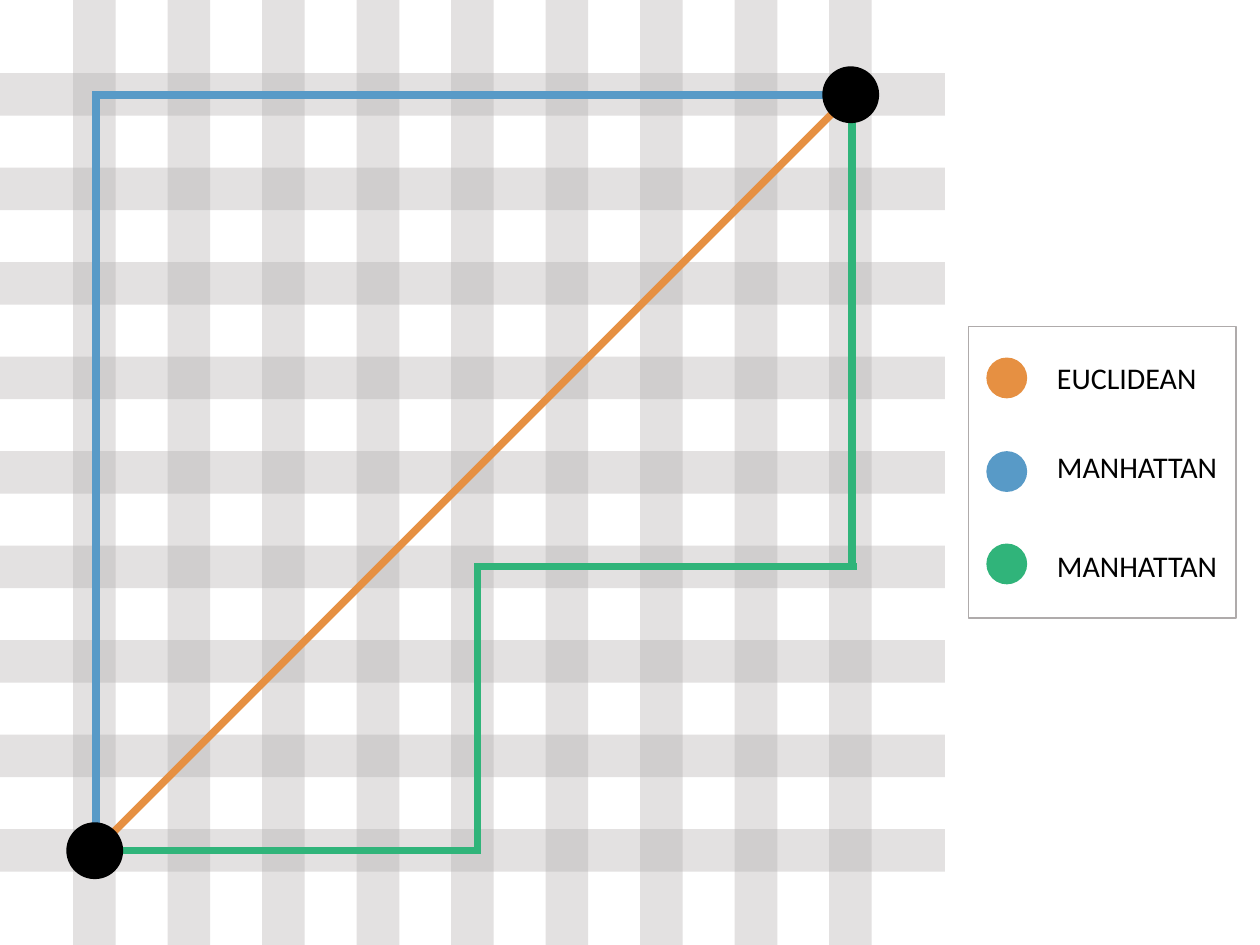
from pptx import Presentation
from pptx import util as u
from pptx.dml import color
from pptx.enum import shapes, text
from pptx.oxml import ns
from lxml import etree

HUES = {
    "street": "AFABAB",
    "blue": "589AC7",
    "orange": "E69042",
    "green": "30B47A",
    "black": "000000",
    "white": "FFFFFF",
}
WIDE = 10.5
SIDE = WIDE * 3 / 4
STEP = SIDE / 10


class Board:
    def __init__(self, slide, font, size):
        self.slide = slide
        self.font = font
        self.size = size

    def tint(self, name):
        return color.RGBColor.from_string(HUES[name])

    def line(self, start, end, hue, width=4.5, alpha=None, bent=False):
        kind = shapes.MSO_CONNECTOR.ELBOW if bent else shapes.MSO_CONNECTOR.STRAIGHT
        ends = [u.Inches(n) for n in (*start, *end)]
        link = self.slide.shapes.add_connector(kind, *ends)
        link.line.color.rgb = self.tint(hue)
        link.line.width = u.Pt(width)
        props = link._element.spPr
        if alpha:
            fill = props.find(".//" + ns.qn("a:srgbClr"))
            etree.SubElement(fill, ns.qn("a:alpha"), val=str(alpha * 1000))
        if bent:
            etree.SubElement(props.find(ns.qn("a:ln")), ns.qn("a:miter"), lim="800000")
        etree.SubElement(props, ns.qn("a:effectLst"))

    def shape(self, kind, left, top, wide, high, fill, edge=None):
        area = [u.Inches(n) for n in (left, top, wide, high)]
        item = self.slide.shapes.add_shape(kind, *area)
        item.shadow.inherit = False
        item.fill.solid()
        item.fill.fore_color.rgb = self.tint(fill)
        if edge:
            item.line.color.rgb = self.tint(edge)
            item.line.width = u.Pt(1)
        else:
            item.line.fill.background()

    def dot(self, left, top, wide, fill, edge=None):
        self.shape(shapes.MSO_SHAPE.OVAL, left, top, wide, wide, fill, edge)

    def label(self, left, top, wide, words):
        area = [u.Inches(n) for n in (left, top, wide, 0.4)]
        frame = self.slide.shapes.add_textbox(*area).text_frame
        frame.word_wrap = True
        frame.auto_size = text.MSO_AUTO_SIZE.SHAPE_TO_FIT_TEXT
        run = frame.paragraphs[0].add_run()
        run.text = words
        run.font.name = self.font
        run.font.size = u.Pt(self.size)
        run.font.color.rgb = self.tint("black")


def main():
    deck = Presentation()
    deck.slide_width = u.Inches(WIDE)
    deck.slide_height = u.Inches(SIDE)
    board = Board(deck.slides.add_slide(deck.slide_layouts[6]), "Calibri", 18)

    for i in range(1, 10):
        board.line((0, i * STEP), (SIDE, i * STEP), "street", 25.5, 34)
    for i in range(1, 10):
        board.line((i * STEP, 0), (i * STEP, SIDE), "street", 25.5, 34)

    board.line((0.8, 7.09), (0.8, 0.76), "blue")
    board.line((0.79, 0.79), (7.13, 0.79), "blue")
    board.line((0.75, 7.13), (7.13, 0.75), "orange")
    board.line((0.82, 7.09), (7.14, 4.72), "green", bent=True)
    board.line((7.1, 4.72), (7.1, 0.79), "green")

    for left, top in ((6.86, 0.56), (0.56, 6.86)):
        board.dot(left, top, 0.46, "black", "black")

    board.shape(shapes.MSO_SHAPE.RECTANGLE, 8.07, 2.72, 2.23, 2.43, "white", "street")
    legend = (
        ("orange", 2.98, 2.95, 1.42, "EUCLIDEAN"),
        ("blue", 3.76, 3.69, 1.59, "MANHATTAN"),
        ("green", 4.53, 4.51, 1.59, "MANHATTAN"),
    )
    for hue, spot, top, wide, words in legend:
        board.dot(8.22, spot, 0.34, hue)
        board.label(8.71, top, wide, words)

    deck.save("out.pptx")


if __name__ == "__main__":
    main()
